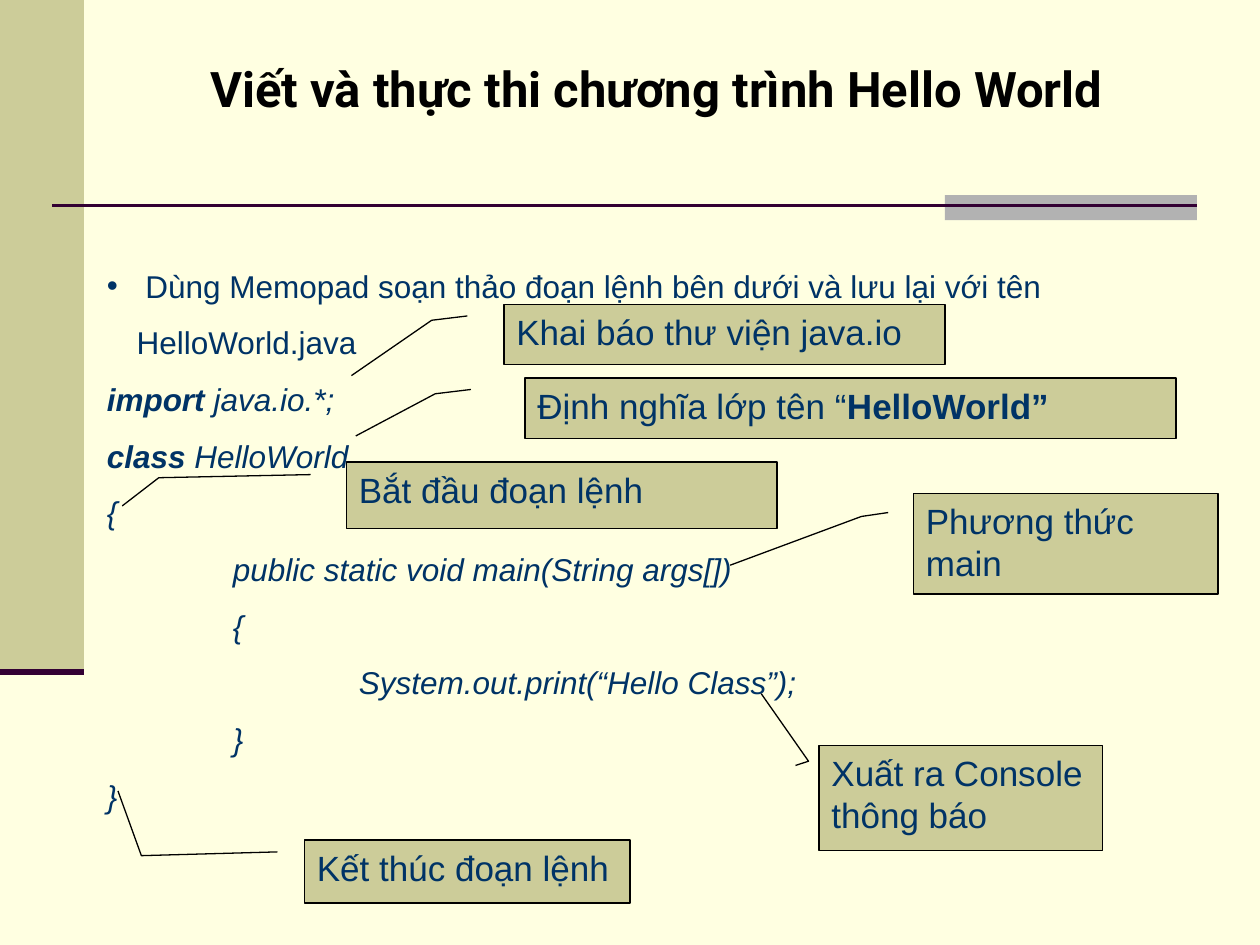
from dataclasses import dataclass
from lxml import etree
from pptx import Presentation
from pptx import util as u
from pptx.dml.color import RGBColor
from pptx.enum import shapes, text
from pptx.oxml import ns

Pt = u.Pt
NAVY, SAND, PLUM, BLACK = "003366", "CCCC99", "330033", "000000"


@dataclass
class Run:
    words: str
    bold: bool = False
    slant: bool = False


@dataclass
class Note:
    box: tuple
    runs: list
    bend: tuple
    tip: tuple


def tint(fmt, color: str) -> None:
    fmt.solid()
    fmt.fore_color.rgb = RGBColor.from_string(color)


def apply(obj, vals: dict) -> None:
    for key, val in vals.items():
        setattr(obj, key, val)


def write(para, runs: list, size: float, color: str = NAVY, face: str = "Arial") -> None:
    for item in runs:
        run = para.add_run()
        run.text = item.words
        apply(run.font, {"size": Pt(size), "name": face,
                         "bold": item.bold, "italic": item.slant})
        run.font.color.rgb = RGBColor.from_string(color)


def block(slide, kind, box: tuple, color: str):
    shape = slide.shapes.add_shape(kind, *map(Pt, box))
    shape.shadow.inherit = False
    tint(shape.fill, color)
    shape.line.fill.background()
    return shape


def rule(slide, ends: tuple, width: float) -> None:
    line = slide.shapes.add_connector(shapes.MSO_CONNECTOR.STRAIGHT, *map(Pt, ends))
    tint(line.line.fill, PLUM)
    line.line.width = Pt(width)
    etree.SubElement(line._element.spPr, ns.qn("a:effectLst"))


def label(slide, box: tuple):
    frame = slide.shapes.add_textbox(*map(Pt, box)).text_frame
    apply(frame, {"word_wrap": True, "auto_size": text.MSO_AUTO_SIZE.SHAPE_TO_FIT_TEXT})
    return frame


def bullet(para, indent: float) -> None:
    props = para._p.get_or_add_pPr()
    props.set("marL", str(Pt(indent)))
    props.set("indent", str(-Pt(indent)))
    etree.SubElement(props, ns.qn("a:buFont")).set("typeface", "Arial")
    etree.SubElement(props, ns.qn("a:buChar")).set("char", "•")


def tabs(para, step: float, count: int) -> None:
    stops = etree.SubElement(para._p.get_or_add_pPr(), ns.qn("a:tabLst"))
    for spot in range(1, count + 1):
        stop = etree.SubElement(stops, ns.qn("a:tab"))
        stop.set("pos", str(Pt(step * spot)))
        stop.set("algn", "l")


def callout(slide, note: Note) -> None:
    shape = block(slide, shapes.MSO_SHAPE.LINE_CALLOUT_2, note.box, SAND)
    tint(shape.line.fill, BLACK)
    shape.line.width = Pt(0.74)
    for spot, val in enumerate((0.19, -0.083, *note.bend, *note.tip)):
        shape.adjustments[spot] = val
    frame = shape.text_frame
    apply(frame, {"word_wrap": True, "vertical_anchor": text.MSO_ANCHOR.TOP})
    para = frame.paragraphs[0]
    para.alignment = text.PP_ALIGN.LEFT
    write(para, note.runs, 20)


def code(words: str, key: str = "") -> list:
    return ([Run(key, True, True)] if key else []) + [Run(words, slant=True)]


LINES = [
    [Run(" Dùng Memopad soạn thảo đoạn lệnh bên dưới và lưu lại với tên HelloWorld.java")],
    code(" java.io.*;", "import"),
    code(" HelloWorld", "class"),
    code("{"),
    code("\tpublic static void main(String args[])"),
    code("\t{"),
    code("\t\tSystem.out.print(“Hello Class”);"),
    code("\t}"),
    code("}"),
]

NOTES = [
    Note((288, 174, 252, 34.5), [Run("Khai báo thư viện java.io")],
         (0.262, -0.164), (1.179, -0.346)),
    Note((300, 216, 372, 34.5), [Run("Định nghĩa lớp tên “"), Run("HelloWorld”", True)],
         (0.262, -0.138), (0.96, -0.26)),
    Note((198, 264, 246, 38), [Run("Bắt đầu đoạn lệnh")],
         (0.237, -0.436), (0.661, -0.521)),
    Note((174, 480, 186, 36), [Run("Kết thúc đoạn lệnh")],
         (0.25, -0.501), (-0.778, -0.573)),
    Note((522, 282, 174, 57.5), [Run("Phương thức main")],
         (0.229, -0.171), (0.714, -0.602)),
    Note((468, 426, 162, 60), [Run("Xuất ra Console thông báo")],
         (0.15, -0.037), (-0.494, -0.204)),
]

deck = Presentation()
apply(deck, {"slide_width": Pt(720), "slide_height": Pt(540)})
slide = deck.slides.add_slide(deck.slide_layouts[6])
tint(slide.background.fill, "FFFFE1")

block(slide, shapes.MSO_SHAPE.RECTANGLE, (0, 0, 48, 384), SAND)
block(slide, shapes.MSO_SHAPE.RECTANGLE, (540, 111.5, 144, 14.4), "B2B2B2")
rule(slide, (30, 117.5, 684, 117.5), 1.5)
rule(slide, (0, 384, 48, 384), 3.5)

head = label(slide, (42, 30, 666, 41)).paragraphs[0]
head.alignment = text.PP_ALIGN.CENTER
write(head, [Run("Viết và thực thi chương trình Hello World", True)], 28, BLACK, "Roboto")

body = label(slide, (54, 138, 654, 331))
for row, runs in enumerate(LINES):
    para = body.add_paragraph() if row else body.paragraphs[0]
    para.line_spacing = 1.5
    write(para, runs, 18)
    if row:
        tabs(para, 72, 2)
    else:
        bullet(para, 17)

for note in NOTES:
    callout(slide, note)

deck.save("out.pptx")
